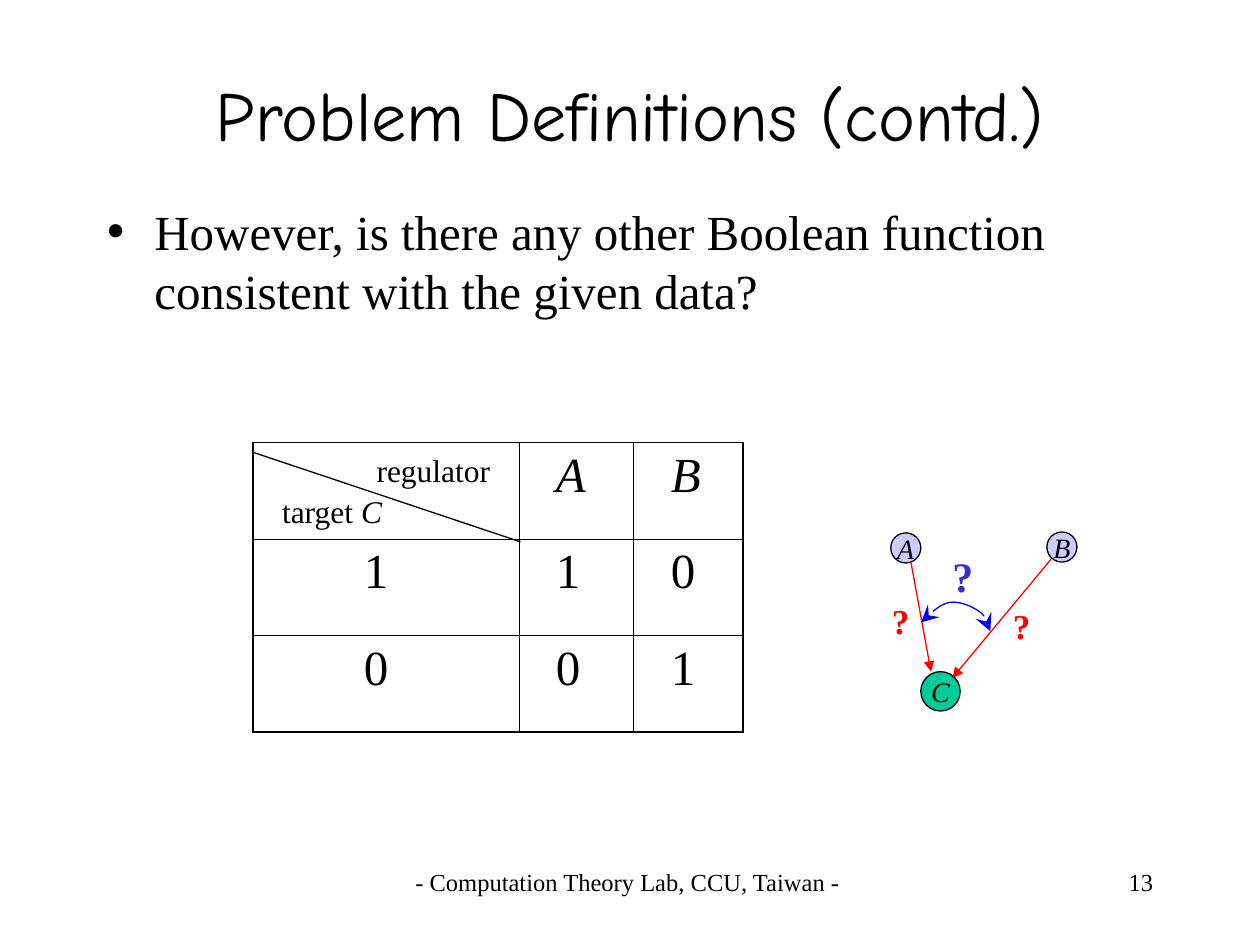
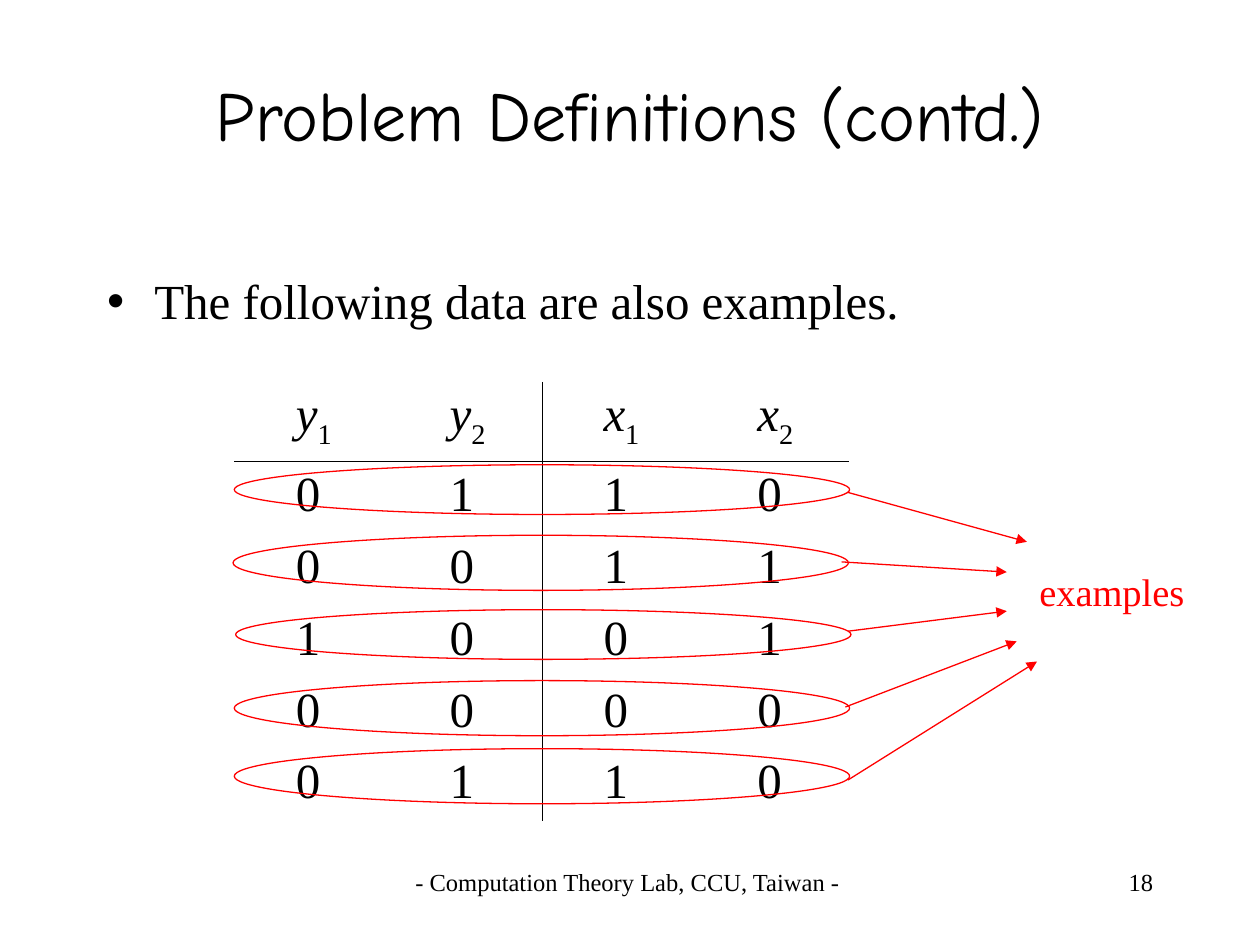
from dataclasses import dataclass

from pptx import Presentation
from pptx.dml.color import RGBColor
from pptx.enum.shapes import MSO_CONNECTOR as Connector, MSO_SHAPE as Shape
from pptx.enum.text import MSO_ANCHOR as Anchor, MSO_AUTO_SIZE as AutoSize, PP_ALIGN as Align
from pptx.oxml.ns import qn
from pptx.oxml.xmlchemy import OxmlElement
from pptx.util import Pt


@dataclass(frozen=True)
class Theme:
    title_font: str = "Comic Neue"
    text_font: str = "Times New Roman"
    black: str = "000000"
    red: str = "FF0000"
    blue: str = "0000FF"
    indigo: str = "3333CC"
    lavender: str = "CCCCFF"
    green: str = "00CC99"
    title_size: float = 40
    body_size: float = 28
    question_size: float = 24
    example_size: float = 22
    edge_question_size: float = 20
    label_size: float = 18
    node_size: float = 16
    footer_size: float = 14
    line_width: float = 0.75
    thin_border: float = 0.45
    thick_border: float = 1.08


@dataclass(frozen=True)
class Part:
    """A stretch of text with its own slant or baseline."""
    text: str
    italic: bool = False
    subscript: bool = False


THEME = Theme()
TITLE = "Problem Definitions (contd.)"
FOOTER = "- Computation Theory Lab, CCU, Taiwan -"
NO_TABLE_STYLE = "{2D5ABB26-0587-4C30-8999-92F81FD0307C}"


def points(values):
    return [Pt(value) for value in values]


def rgb(color):
    return RGBColor.from_string(color)


def write(paragraph, parts, size, color=THEME.black, font=THEME.text_font,
          bold=False, align=Align.LEFT):
    paragraph.alignment = align
    paragraph.space_before = Pt(0)
    for part in parts:
        run = paragraph.add_run()
        run.text = part.text
        run.font.name = font
        run.font.size = Pt(size)
        run.font.bold = bold
        run.font.italic = part.italic
        run.font.color.rgb = rgb(color)
        if part.subscript:
            run._r.get_or_add_rPr().set("baseline", "-25000")


def fill_placeholder(placeholder, box, text, **style):
    placeholder.left, placeholder.top, placeholder.width, placeholder.height = points(box)
    placeholder.text_frame.auto_size = AutoSize.NONE
    write(placeholder.text_frame.paragraphs[0], [Part(text)], **style)


def add_text(slide, box, parts, size, **style):
    frame = slide.shapes.add_textbox(*points(box)).text_frame
    frame.word_wrap = True
    write(frame.paragraphs[0], parts, size, **style)


def add_slide(presentation, number, bullet, body_top):
    """Add a slide with the shared title and footer, and one bullet."""
    slide = presentation.slides.add_slide(presentation.slide_layouts[1])
    fill_placeholder(slide.shapes.title, (54, 20, 612, 90), TITLE, size=THEME.title_size,
                     font=THEME.title_font, align=Align.CENTER)
    slide.shapes.title.text_frame.vertical_anchor = Anchor.MIDDLE
    fill_placeholder(slide.placeholders[1], (54, body_top, 612, 480 - body_top), bullet,
                     size=THEME.body_size)
    add_text(slide, (148.7, 491.8, 419.8, 36), [Part(FOOTER)], THEME.footer_size,
             align=Align.CENTER)
    add_text(slide, (516.2, 491.8, 149.8, 36), [Part(str(number))], THEME.footer_size,
             align=Align.RIGHT)
    return slide


def style_line(shape, color, **ends):
    """Colour an outline; ends maps headEnd or tailEnd to (type, size)."""
    shape.line.color.rgb = rgb(color)
    shape.line.width = Pt(THEME.line_width)
    for tag, (kind, size) in ends.items():
        end = OxmlElement(f"a:{tag}")
        for name, value in (("type", kind), ("w", size), ("len", size)):
            end.set(name, value)
        shape._element.spPr.find(qn("a:ln")).append(end)


def add_line(slide, start, end, color, **ends):
    line = slide.shapes.add_connector(Connector.STRAIGHT, *points(start + end))
    style_line(line, color, **ends)
    line._element.spPr.append(OxmlElement("a:effectLst"))


def add_arrow(slide, start, end):
    add_line(slide, start, end, THEME.red, tailEnd=("triangle", "med"))


def add_ellipse(slide, box, line_color, fill_color=None):
    ellipse = slide.shapes.add_shape(Shape.OVAL, *points(box))
    ellipse.shadow.inherit = False
    style_line(ellipse, line_color)
    if fill_color:
        ellipse.fill.solid()
        ellipse.fill.fore_color.rgb = rgb(fill_color)
    else:
        ellipse.fill.background()
    return ellipse


def add_node(slide, name, left, top, diameter, color):
    frame = add_ellipse(slide, (left, top, diameter, diameter), THEME.black, color).text_frame
    frame.word_wrap = False
    frame.vertical_anchor = Anchor.MIDDLE
    write(frame.paragraphs[0], [Part(name, italic=True)], THEME.node_size, align=Align.CENTER)


def bezier_points(controls, steps=10):
    """Sample a chain of cubic curves, each starting where the last ended."""
    samples = [controls[0]]
    for first in range(0, len(controls) - 1, 3):
        curve = controls[first:first + 4]
        for step in range(1, steps + 1):
            t = step / steps
            weights = ((1 - t) ** 3, 3 * t * (1 - t) ** 2, 3 * t ** 2 * (1 - t), t ** 3)
            samples.append(tuple(sum(weight * point[axis] for weight, point in zip(weights, curve))
                                 for axis in (0, 1)))
    return samples


def add_double_arrow(slide, controls):
    start, *rest = [points(point) for point in bezier_points(controls)]
    builder = slide.shapes.build_freeform(*start, scale=1.0)
    builder.add_line_segments(rest, close=False)
    arc = builder.convert_to_shape()
    arc.shadow.inherit = False
    arc.fill.background()
    style_line(arc, THEME.blue, headEnd=("stealth", "lg"), tailEnd=("stealth", "lg"))


def set_border(cell, side, width):
    line = OxmlElement(f"a:ln{side}")
    cell._tc.get_or_add_tcPr().append(line)
    if not width:
        line.append(OxmlElement("a:noFill"))
        return
    line.set("w", str(Pt(width)))
    fill, color = OxmlElement("a:solidFill"), OxmlElement("a:srgbClr")
    color.set("val", THEME.black)
    fill.append(color)
    line.append(fill)


def add_grid(slide, corner, widths, heights, rows, indents, border_width):
    """Add a table; border_width(side, row, column) gives points, or 0 for no line."""
    size = (sum(widths), sum(heights))
    table = slide.shapes.add_table(len(rows), len(widths), *points(corner + size)).table
    table.first_row = table.horz_banding = False
    table._tbl.tblPr.find(qn("a:tableStyleId")).text = NO_TABLE_STYLE
    for column, width in zip(table.columns, widths):
        column.width = Pt(width)
    for row, height in zip(table.rows, heights):
        row.height = Pt(height)
    for row_index, row in enumerate(rows):
        for column_index, parts in enumerate(row):
            cell = table.cell(row_index, column_index)
            for side in "LRTB":
                set_border(cell, side, border_width(side, row_index, column_index))
            cell.fill.background()
            paragraph = cell.text_frame.paragraphs[0]
            paragraph._p.get_or_add_pPr().set("marL", str(Pt(indents[column_index])))
            write(paragraph, parts, THEME.body_size)


def digit_rows(rows):
    return [[[Part(digit)] for digit in row] for row in rows]


def regulator_border(side, row, column):
    outer = {"L": column == 0, "R": column == 2, "T": row == 0, "B": row == 2}
    return THEME.thick_border if outer[side] else THEME.thin_border


def example_border(side, row, column):
    lined = {"L": column == 2, "R": column == 1, "T": row == 1, "B": row == 0}
    return THEME.thin_border if lined[side] else 0


def add_regulator_table(slide):
    add_line(slide, (144.7, 258.5), (297.4, 309.6), THEME.black)
    header = [[], [Part("A", italic=True)], [Part("B", italic=True)]]
    add_grid(slide, (144.7, 252.8), (151.8, 65.7, 62.4), [55.2] * 3,
             [header] + digit_rows(["110", "001"]), (56, 14, 14), regulator_border)
    add_text(slide, (208.1, 254.2, 108.7, 28.8), [Part("regulator")], THEME.label_size)
    add_text(slide, (154.1, 277.9, 82.8, 28.8), [Part("target "), Part("C", italic=True)],
             THEME.label_size)


def add_regulation_graph(slide):
    add_node(slide, "A", 509, 304.5, 17.2, THEME.lavender)
    add_node(slide, "B", 598.2, 304, 17.2, THEME.lavender)
    add_node(slide, "C", 526.2, 383.8, 22.5, THEME.green)
    add_arrow(slide, (520.5, 321.1), (532, 383.8))
    add_arrow(slide, (600.5, 319.7), (544.3, 387.4))
    add_double_arrow(slide, [(526.3, 355.7), (532.1, 349.9), (537.8, 344.9), (542.9, 344.2),
                             (548.6, 343.4), (556.6, 347), (560.2, 349.9),
                             (563.8, 352.8), (564.5, 356.4), (565.9, 360.7)])
    for left, top, size, color in (
            (537.1, 310.8, THEME.question_size, THEME.indigo),
            (571.7, 342, THEME.edge_question_size, THEME.red),
            (502.6, 339.1, THEME.edge_question_size, THEME.red)):
        add_text(slide, (left, top, 33.8, 1.5 * size), [Part("?")], size, color=color, bold=True)


def add_example_table(slide):
    header = [[Part(letter, italic=True), Part(index, subscript=True)]
              for letter, index in ("y1", "y2", "x1", "x2")]
    add_grid(slide, (133.9, 218.2), [87.9] * 4, [45.4] + [41.1] * 5,
             [header] + digit_rows(["0110", "0011", "1001", "0000", "0110"]),
             [28] * 4, example_border)


def add_example_marks(slide):
    """Circle every data row and point from it to the label."""
    marks = (
        ((133.9, 265.6, 351.6, 28.4), (484.6, 281.4), (586.8, 309.6)),
        ((133.2, 305.9, 351.6, 31.5), (481, 321.1), (575.3, 326.9)),
        ((134.7, 348.4, 351.6, 28.4), (484.6, 360.7), (575.3, 349.2)),
        ((133.9, 388.9, 351.6, 31.5), (483.1, 404), (581, 366.5)),
        ((133.9, 427.8, 351.6, 31.5), (484.6, 445.7), (592.6, 378)),
    )
    for ellipse_box, start, end in marks:
        add_ellipse(slide, ellipse_box, THEME.red)
        add_arrow(slide, start, end)
    add_text(slide, (586.8, 321.1, 108, 33.8), [Part("examples")], THEME.example_size,
             color=THEME.red)


def main():
    presentation = Presentation()
    presentation.slide_width, presentation.slide_height = Pt(720), Pt(540)

    question = "However, is there any other Boolean function consistent with the given data?"
    slide = add_slide(presentation, 13, question, 111.6)
    add_regulator_table(slide)
    add_regulation_graph(slide)

    slide = add_slide(presentation, 18, "The following data are also examples.", 151.2)
    add_example_table(slide)
    add_example_marks(slide)

    presentation.save("out.pptx")


if __name__ == "__main__":
    main()
